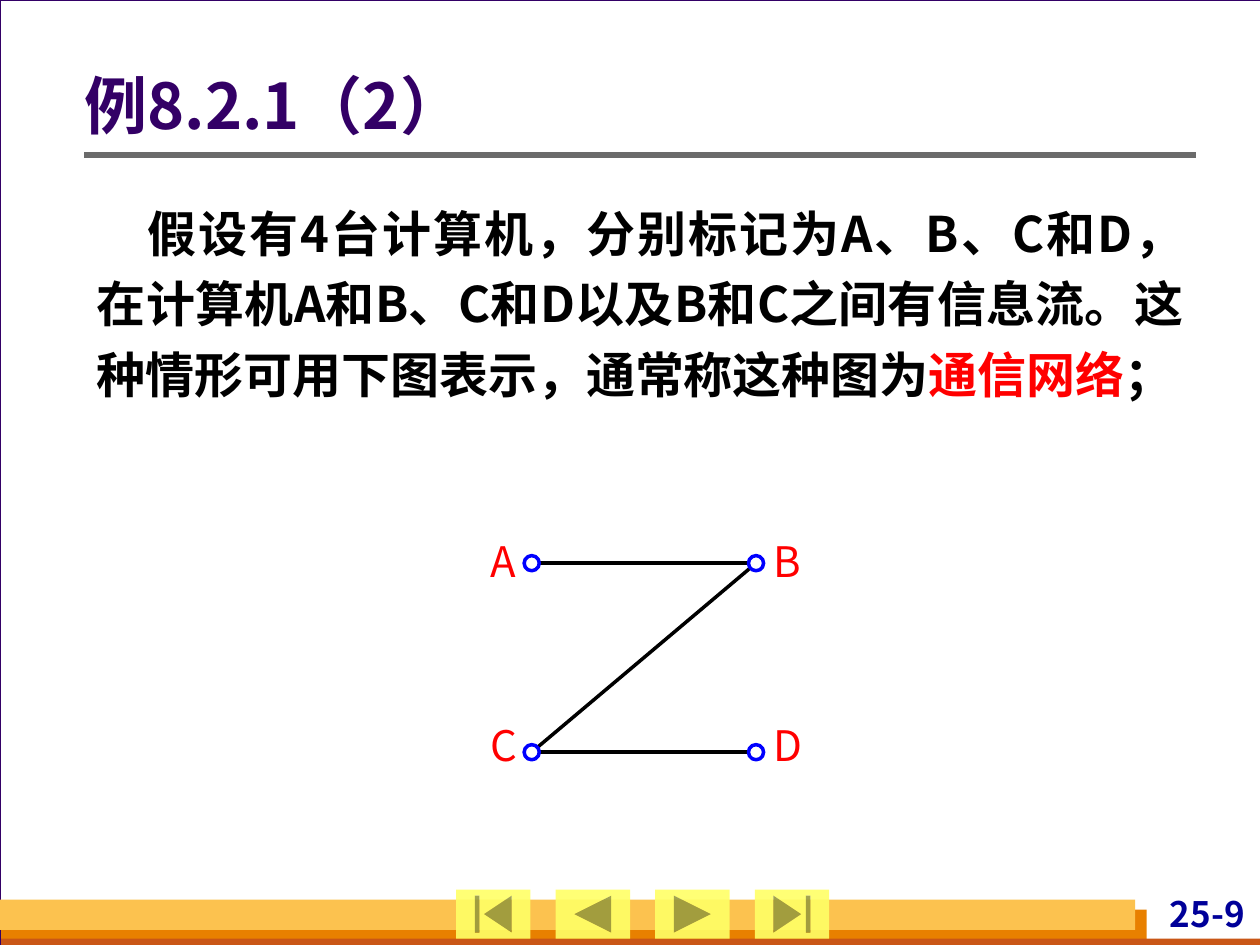
from pptx import Presentation
from pptx.dml.color import RGBColor
from pptx.enum.shapes import MSO_CONNECTOR as Connector, MSO_SHAPE as Shape
from pptx.enum.text import MSO_ANCHOR as Anchor, PP_ALIGN as Align
from pptx.oxml.ns import qn
from pptx.util import Inches, Pt
from lxml.etree import SubElement

FONT = "Noto Sans CJK SC"
COLORS = {
    "background": "D8DADA", "white": "FFFFFF", "black": "000000",
    "purple": "330066", "navy": "000099", "gray": "6B6B6B",
    "orange": "E88000", "rust": "C95616", "gold": "FCC24F",
    "yellow": "FFFF66", "red": "FF0000", "blue": "0000FF",
}
NODE_SIZE = 0.12
NODES = {"A": (4.22, 4.47), "B": (6.0, 4.47), "C": (4.22, 5.97), "D": (6.0, 5.97)}
EDGES = ["AB", "CD", "BC"]
LABEL_LEFT = {"A": 3.89, "B": 6.14, "C": 3.89, "D": 6.14}
LABEL_RISE = {"A": 0.22, "B": 0.22, "C": 0.26, "D": 0.26}
BUTTONS = [Shape.ACTION_BUTTON_BEGINNING, Shape.ACTION_BUTTON_BACK_OR_PREVIOUS,
           Shape.ACTION_BUTTON_FORWARD_OR_NEXT, Shape.ACTION_BUTTON_END]


def rgb(name):
    return RGBColor.from_string(COLORS[name])


def add_shape(slide, kind, box, fill, line=None, width=0.75, opacity=100):
    shape = slide.shapes.add_shape(kind, *map(Inches, box))
    shape.shadow.inherit = False
    shape.fill.solid()
    shape.fill.fore_color.rgb = rgb(fill)
    if opacity < 100:
        color = shape.fill._xPr.find(qn("a:solidFill"))[0]
        SubElement(color, qn("a:alpha"), val=str(opacity * 1000))
    if line:
        shape.line.color.rgb = rgb(line)
        shape.line.width = Pt(width)
    else:
        shape.line.fill.background()
    return shape


def add_line(slide, start, end, color, width):
    line = slide.shapes.add_connector(Connector.STRAIGHT, *map(Inches, (*start, *end)))
    line.line.color.rgb = rgb(color)
    line.line.width = Pt(width)
    SubElement(line._element.spPr, qn("a:effectLst"))


def add_text(slide, box, runs, size, bold=False, margins=(0, 0, 0, 0),
             frame_format=None, paragraph_format=None, indent=0):
    """Add one paragraph; runs holds (text, color) pairs."""
    frame = slide.shapes.add_textbox(*map(Inches, box)).text_frame
    sides = ("margin_left", "margin_top", "margin_right", "margin_bottom")
    settings = dict(zip(sides, map(Inches, margins)), word_wrap=True)
    for name, value in (settings | (frame_format or {})).items():
        setattr(frame, name, value)
    paragraph = frame.paragraphs[0]
    for name, value in (paragraph_format or {}).items():
        setattr(paragraph, name, value)
    if indent:
        paragraph._p.get_or_add_pPr().set("indent", str(Inches(indent)))
    for text, color in runs:
        run = paragraph.add_run()
        run.text = text
        for name, value in {"name": FONT, "size": Pt(size), "bold": bold}.items():
            setattr(run.font, name, value)
        run.font.color.rgb = rgb(color)
        SubElement(run.font._element, qn("a:ea"), typeface=FONT)


def add_frame(slide):
    # Page, footer bands, page number and title rule
    add_shape(slide, Shape.RECTANGLE, (0, 0, 10.01, 7.5), "white", "purple")
    for box, color in [((0.01, 7.22, 9.09, 0.28), "orange"),
                       ((0.01, 7.45, 10, 0.08), "rust"),
                       ((0, 7.14, 9.01, 0.24), "gold")]:
        add_shape(slide, Shape.RECTANGLE, box, color)
    add_text(slide, (8.7, 7.08, 1.22, 0.38), [("25-9", "navy")], 20, bold=True,
             margins=(0.04, 0, 0.04, 0), paragraph_format={"alignment": Align.RIGHT})
    add_line(slide, (0.67, 1.23), (9.49, 1.23), "gray", 3)

    # Navigation buttons
    for index, kind in enumerate(BUTTONS):
        add_shape(slide, kind, (3.62 + 0.79 * index, 7.06, 0.59, 0.39),
                  "yellow", opacity=90)


def add_network(slide):
    for start, end in EDGES:
        add_line(slide, NODES[start], NODES[end], "black", 2)
    for name, (x, y) in NODES.items():
        add_shape(slide, Shape.OVAL,
                  (x - NODE_SIZE / 2, y - NODE_SIZE / 2, NODE_SIZE, NODE_SIZE),
                  "white", "blue", 2)
        add_text(slide, (LABEL_LEFT[name], y - LABEL_RISE[name], 0.22, 0.4),
                 [(name, "red")], 24, frame_format={"word_wrap": False})


def main():
    presentation = Presentation()
    presentation.slide_width = Inches(10)
    presentation.slide_height = Inches(7.5)
    slide = presentation.slides.add_slide(presentation.slide_layouts[6])
    slide.background.fill.solid()
    slide.background.fill.fore_color.rgb = rgb("background")

    add_frame(slide)

    # Title and body
    add_text(slide, (0.67, 0.36, 8.82, 1.01), [("例8.2.1（2）", "purple")], 36,
             bold=True, margins=(0, 0.05, 0.1, 0.05),
             frame_format={"vertical_anchor": Anchor.MIDDLE},
             paragraph_format={"line_spacing": 0.9})
    body = [("假设有4台计算机，分别标记为A、B、C和D，在计算机A和B、C和D以及B和C之间有"
             "信息流。这种情形可用下图表示，通常称这种图为", "black"),
            ("通信网络", "red"), ("；", "black")]
    add_text(slide, (0.67, 1.47, 8.82, 2.34), body, 28, bold=True,
             margins=(0.1, 0.05, 0.1, 0.05), indent=0.4,
             paragraph_format={"alignment": Align.JUSTIFY, "line_spacing": 1.2})

    add_network(slide)
    presentation.save("out.pptx")


if __name__ == "__main__":
    main()
